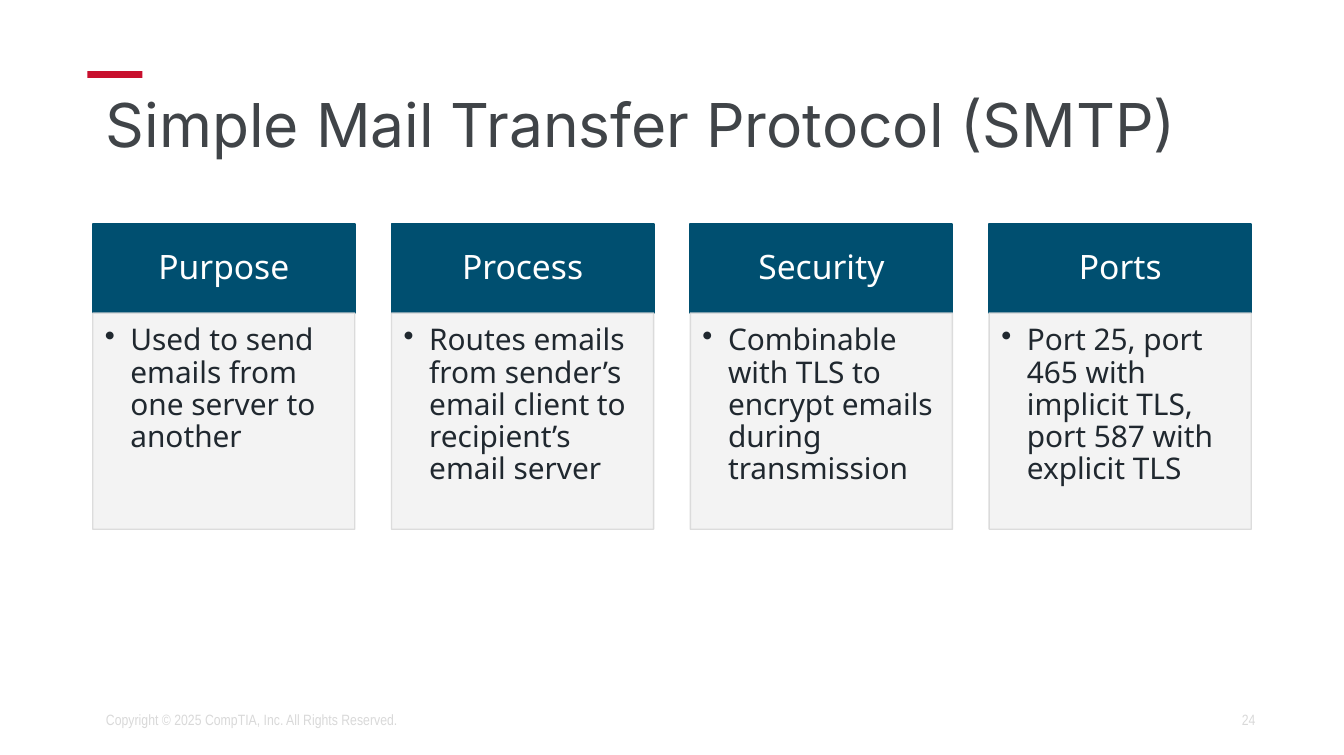
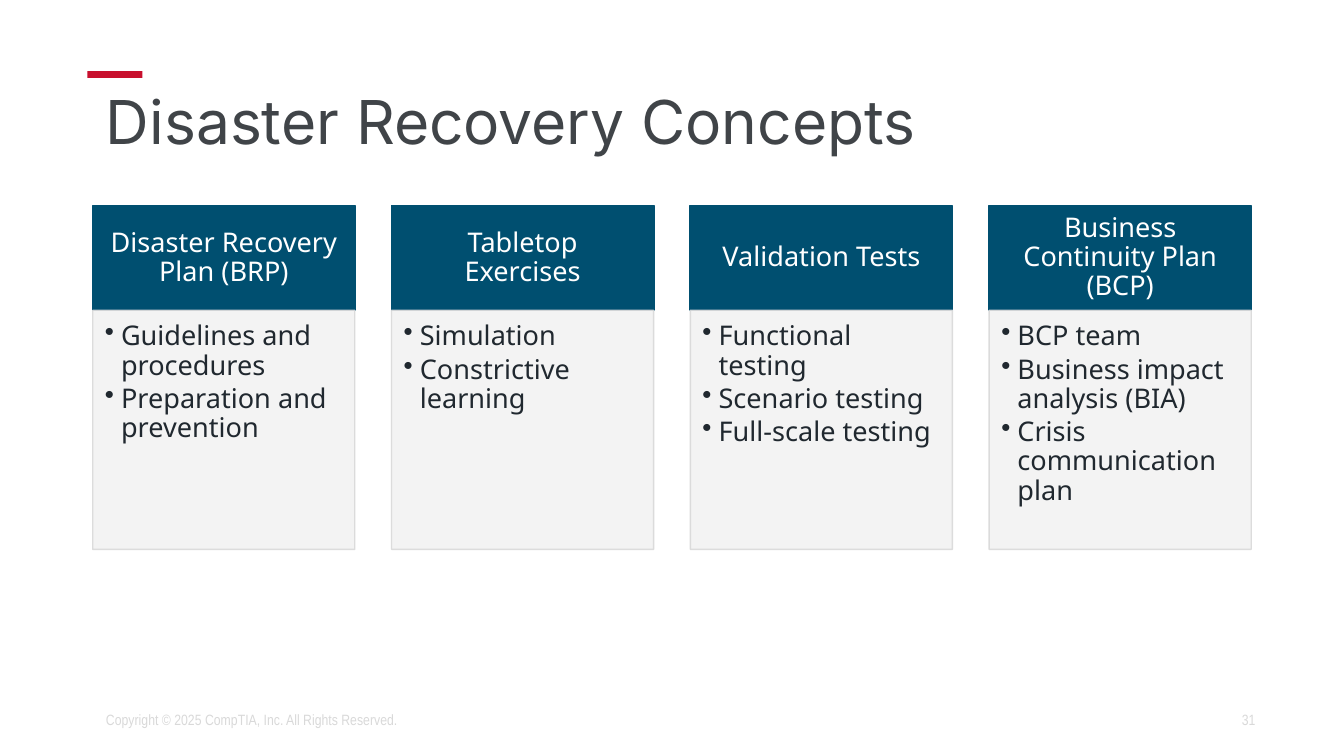
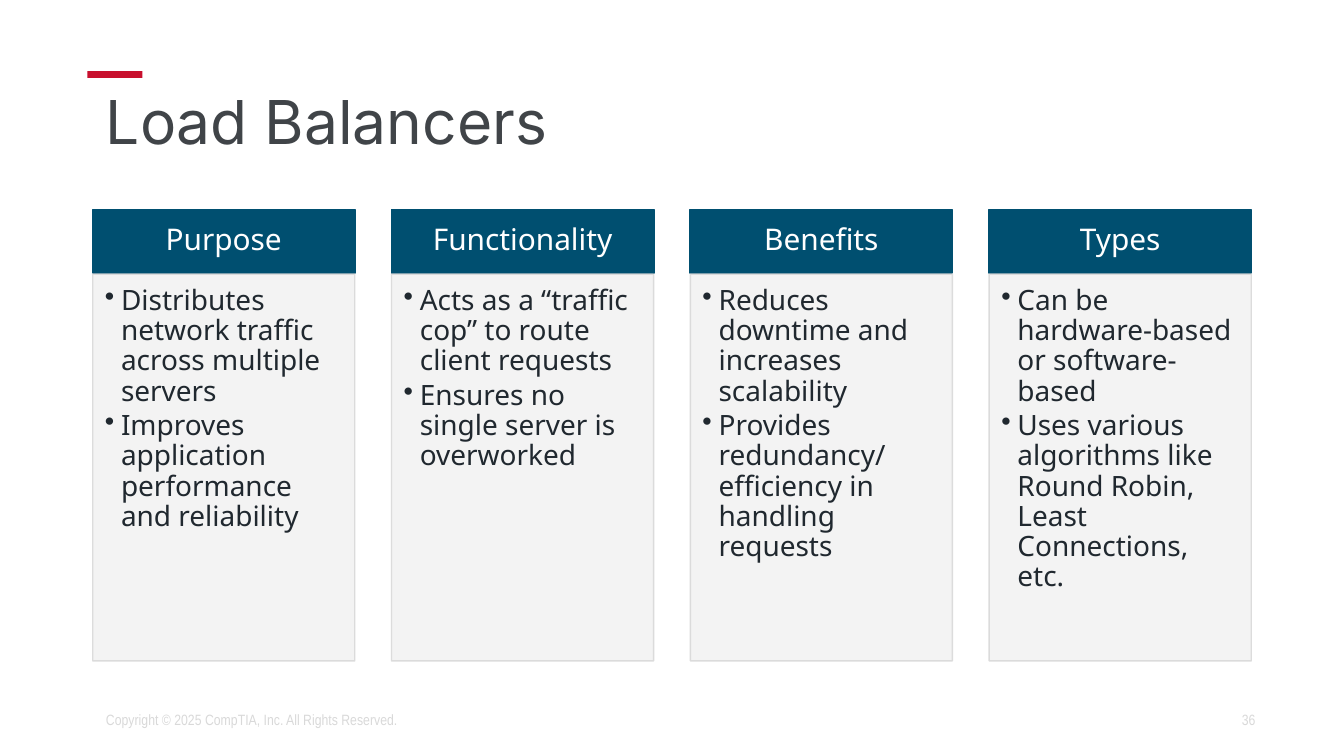
from dataclasses import dataclass

from lxml.etree import SubElement
from pptx import Presentation
from pptx.dml.color import RGBColor
from pptx.enum.shapes import MSO_SHAPE as Preset
from pptx.enum.text import MSO_ANCHOR as Anchor, PP_ALIGN as Align
from pptx.oxml.ns import qn
from pptx.util import Inches, Pt


@dataclass(frozen=True)
class Theme:
    accent: str = "C8102E"
    title: str = "404448"
    header: str = "004F70"
    header_text: str = "FFFFFF"
    panel: str = "F2F2F2"
    border: str = "D9D9D9"
    body: str = "20282F"
    footer: str = "D9D9D9"
    title_font: str = "Inter"
    body_font: str = "Noto Sans"
    footer_font: str = "Arial Narrow"
    title_size: float = 32.4
    footer_size: float = 8
    line_spacing: float = 0.9
    bullet_gap: float = 0.15
    panel_opacity: int = 90


@dataclass(frozen=True)
class Frame:
    left: float
    top: float
    width: float
    height: float

    def inches(self) -> list:
        return [Inches(v) for v in (self.left, self.top, self.width, self.height)]


@dataclass(frozen=True)
class Style:
    font: str
    size: float
    color: str


@dataclass(frozen=True)
class Column:
    heading: str
    bullets: tuple[str, ...]


@dataclass(frozen=True)
class ColumnLayout:
    top: float
    header_height: float
    body_top: float
    body_height: float
    header_size: float
    body_size: float
    indent: float
    header_insets: tuple[float, ...]
    body_insets: tuple[float, ...]


@dataclass(frozen=True)
class Topic:
    title: str
    number: int
    layout: ColumnLayout
    columns: tuple[Column, ...]
    title_anchor: Anchor = Anchor.TOP


THEME = Theme()
COPYRIGHT = "Copyright © 2025 CompTIA, Inc. All Rights Reserved."

# Frames shared by all pages
ACCENT_BAR = Frame(0.65, 0.53, 0.41, 0.05)
TITLE = Frame(0.69, 0.64, 8.62, 0.63)
COPYRIGHT_FRAME = Frame(0.69, 5.21, 4.31, 0.3)
NUMBER_FRAME = Frame(7.06, 5.21, 2.38, 0.3)
COLUMN_WIDTH = 1.95

TITLE_STYLE = Style(THEME.title_font, THEME.title_size, THEME.title)
FOOTER_STYLE = Style(THEME.footer_font, THEME.footer_size, THEME.footer)

WIDE_HEADER = (0.14, 0.08, 0.14, 0.08)
TIGHT_HEADER = (0.12, 0.07, 0.12, 0.07)
TIGHT_BODY = (0.09, 0.09, 0.12, 0.13)

TOPICS = (
    Topic(
        "Simple Mail Transfer Protocol (SMTP)", 24,
        ColumnLayout(1.67, 0.66, 2.33, 1.61, 18, 16, 0.19,
                     WIDE_HEADER, (0.09, 0.09, 0.12, 0.14)),
        (
            Column("Purpose", ("Used to send emails from one server to another",)),
            Column("Process", ("Routes emails from sender’s email client to recipient’s email server",)),
            Column("Security", ("Combinable with TLS to encrypt emails during transmission",)),
            Column("Ports", ("Port 25, port 465 with implicit TLS, port 587 with explicit TLS",)),
        ),
        Anchor.MIDDLE,
    ),
    Topic(
        "Disaster Recovery Concepts", 31,
        ColumnLayout(1.53, 0.78, 2.31, 1.78, 14.5, 14.5, 0.12, TIGHT_HEADER, TIGHT_BODY),
        (
            Column("Disaster Recovery Plan (BRP)",
                   ("Guidelines and procedures", "Preparation and prevention")),
            Column("Tabletop Exercises", ("Simulation", "Constrictive learning")),
            Column("Validation Tests",
                   ("Functional testing", "Scenario testing", "Full-scale testing")),
            Column("Business Continuity Plan (BCP)",
                   ("BCP team", "Business impact analysis (BIA)", "Crisis communication plan")),
        ),
    ),
    Topic(
        "Load Balancers", 36,
        ColumnLayout(1.56, 0.47, 2.04, 2.88, 16, 15, 0.12, TIGHT_HEADER, TIGHT_BODY),
        (
            Column("Purpose", ("Distributes network traffic across multiple servers",
                               "Improves application performance\nand reliability")),
            Column("Functionality", ("Acts as a “traffic cop” to route client requests",
                                     "Ensures no single server is overworked")),
            Column("Benefits", ("Reduces downtime and increases scalability",
                                "Provides redundancy/\nefficiency in handling requests")),
            Column("Types", ("Can be hardware-based or software-based",
                             "Uses various algorithms like Round Robin, Least Connections, etc.")),
        ),
    ),
)


# Text helpers
def add_runs(para, text: str, style: Style) -> None:
    """Add one run per line, with a line break between lines."""
    for index, line in enumerate(text.split("\n")):
        if index:
            para.add_line_break()
        span = para.add_run()
        span.text = line
        span.font.name = style.font
        span.font.size = Pt(style.size)
        span.font.color.rgb = RGBColor.from_string(style.color)


def set_frame(frame, anchor: Anchor, insets: tuple[float, ...] = (0.1, 0.05, 0.1, 0.05)) -> None:
    frame.word_wrap = True
    frame.vertical_anchor = anchor
    (frame.margin_left, frame.margin_top,
     frame.margin_right, frame.margin_bottom) = map(Inches, insets)


def add_bullet(para, indent: float) -> None:
    properties = para._p.get_or_add_pPr()
    properties.set("marL", str(Inches(indent)))
    properties.set("indent", str(-Inches(indent)))
    SubElement(properties, qn("a:buChar")).set("char", "•")


def add_label(page, frame: Frame, text: str, style: Style, anchor: Anchor = Anchor.MIDDLE,
              align: Align = Align.LEFT, line_spacing: float = 1.0) -> None:
    box = page.shapes.add_textbox(*frame.inches())
    set_frame(box.text_frame, anchor)
    para = box.text_frame.paragraphs[0]
    para.alignment = align
    para.line_spacing = line_spacing
    add_runs(para, text, style)


# Shape helpers
def add_block(page, frame: Frame, fill: str, line: str | None = None,
              line_width: float = 1, opacity: int = 100):
    block = page.shapes.add_shape(Preset.RECTANGLE, *frame.inches())
    block.shadow.inherit = False
    block.fill.solid()
    block.fill.fore_color.rgb = RGBColor.from_string(fill)
    if line is None:
        block.line.fill.background()
    else:
        block.line.color.rgb = RGBColor.from_string(line)
        block.line.width = Pt(line_width)
    if opacity < 100:
        for color in block.element.spPr.iter(qn("a:srgbClr")):
            SubElement(color, qn("a:alpha")).set("val", str(opacity * 1000))
    return block


def add_column(page, left: float, column: Column, layout: ColumnLayout) -> None:
    # Header band
    header = add_block(page, Frame(left, layout.top, COLUMN_WIDTH, layout.header_height),
                       THEME.header, THEME.header)
    set_frame(header.text_frame, Anchor.MIDDLE, layout.header_insets)
    para = header.text_frame.paragraphs[0]
    para.alignment = Align.CENTER
    para.line_spacing = THEME.line_spacing
    add_runs(para, column.heading, Style(THEME.body_font, layout.header_size, THEME.header_text))

    # Bullet panel
    panel = add_block(page, Frame(left, layout.body_top, COLUMN_WIDTH, layout.body_height),
                      THEME.panel, THEME.border, 0.75, THEME.panel_opacity)
    text = panel.text_frame
    set_frame(text, Anchor.TOP, layout.body_insets)
    style = Style(THEME.body_font, layout.body_size, THEME.body)
    for index, bullet in enumerate(column.bullets):
        para = text.add_paragraph() if index else text.paragraphs[0]
        add_bullet(para, layout.indent)
        para.alignment = Align.LEFT
        para.line_spacing = THEME.line_spacing
        para.space_after = Pt(THEME.bullet_gap * layout.body_size)
        add_runs(para, bullet, style)


def add_page(deck, topic: Topic) -> None:
    page = deck.slides.add_slide(deck.slide_layouts[6])
    # Title and footer
    add_block(page, ACCENT_BAR, THEME.accent)
    add_label(page, TITLE, topic.title, TITLE_STYLE, topic.title_anchor,
              line_spacing=THEME.line_spacing)
    add_label(page, NUMBER_FRAME, str(topic.number), FOOTER_STYLE, align=Align.RIGHT)
    add_label(page, COPYRIGHT_FRAME, COPYRIGHT, FOOTER_STYLE)
    # Columns spread evenly under the title
    pitch = (TITLE.width - COLUMN_WIDTH) / (len(topic.columns) - 1)
    for index, column in enumerate(topic.columns):
        add_column(page, TITLE.left + index * pitch, column, topic.layout)


def main() -> None:
    deck = Presentation()
    deck.slide_width = Inches(10)
    deck.slide_height = Inches(5.62)
    for topic in TOPICS:
        add_page(deck, topic)
    deck.save("out.pptx")


if __name__ == "__main__":
    main()
